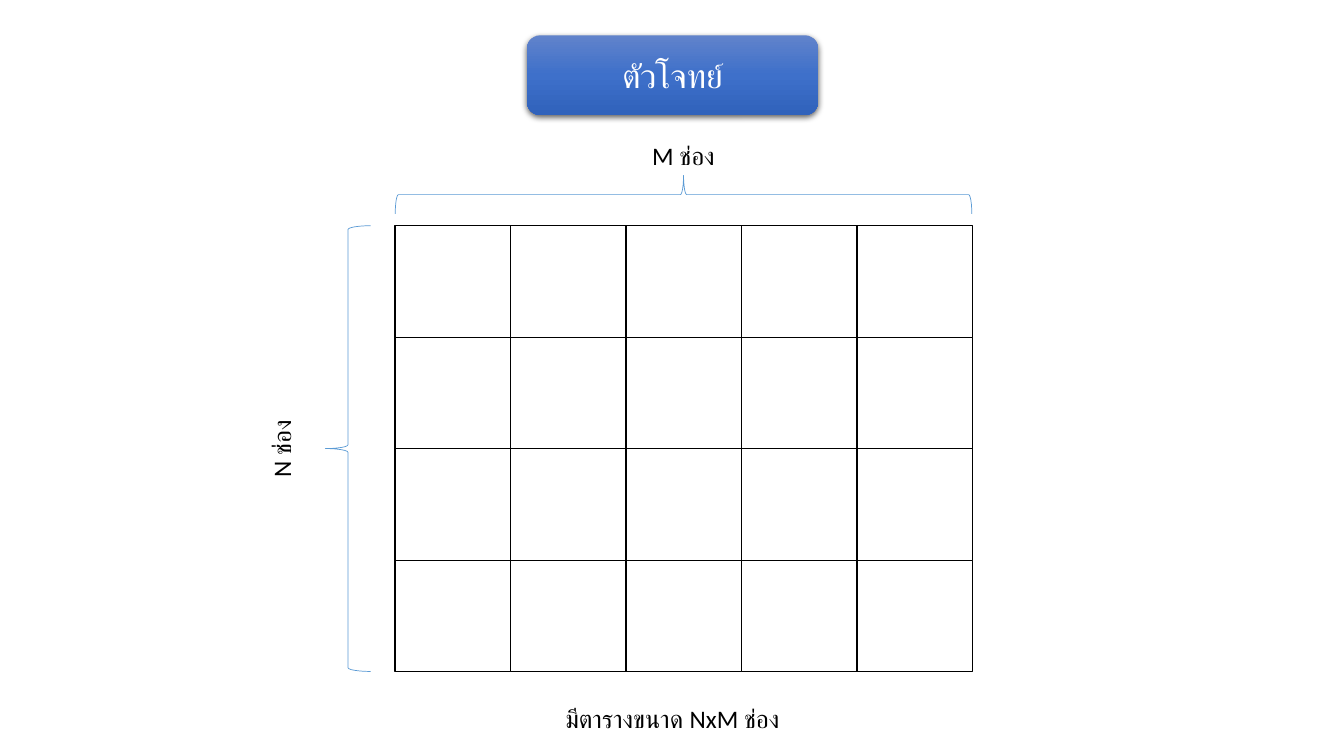
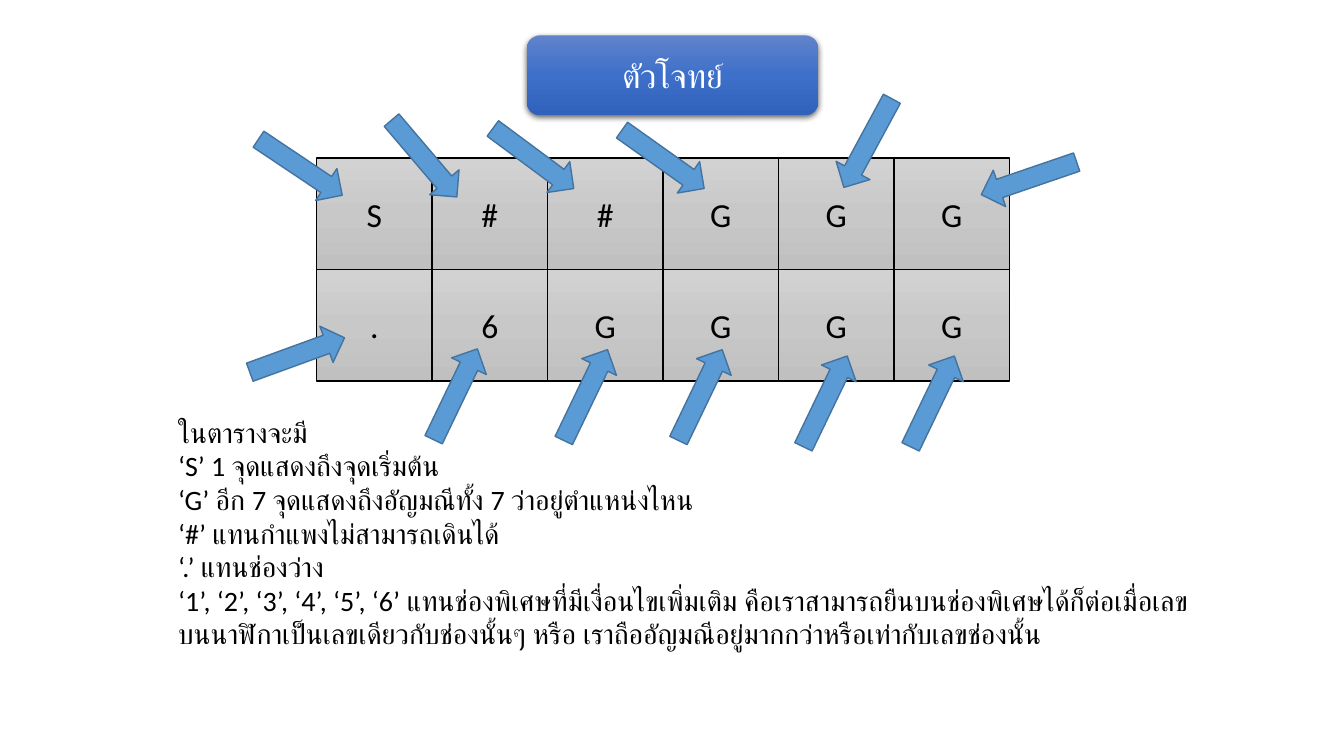
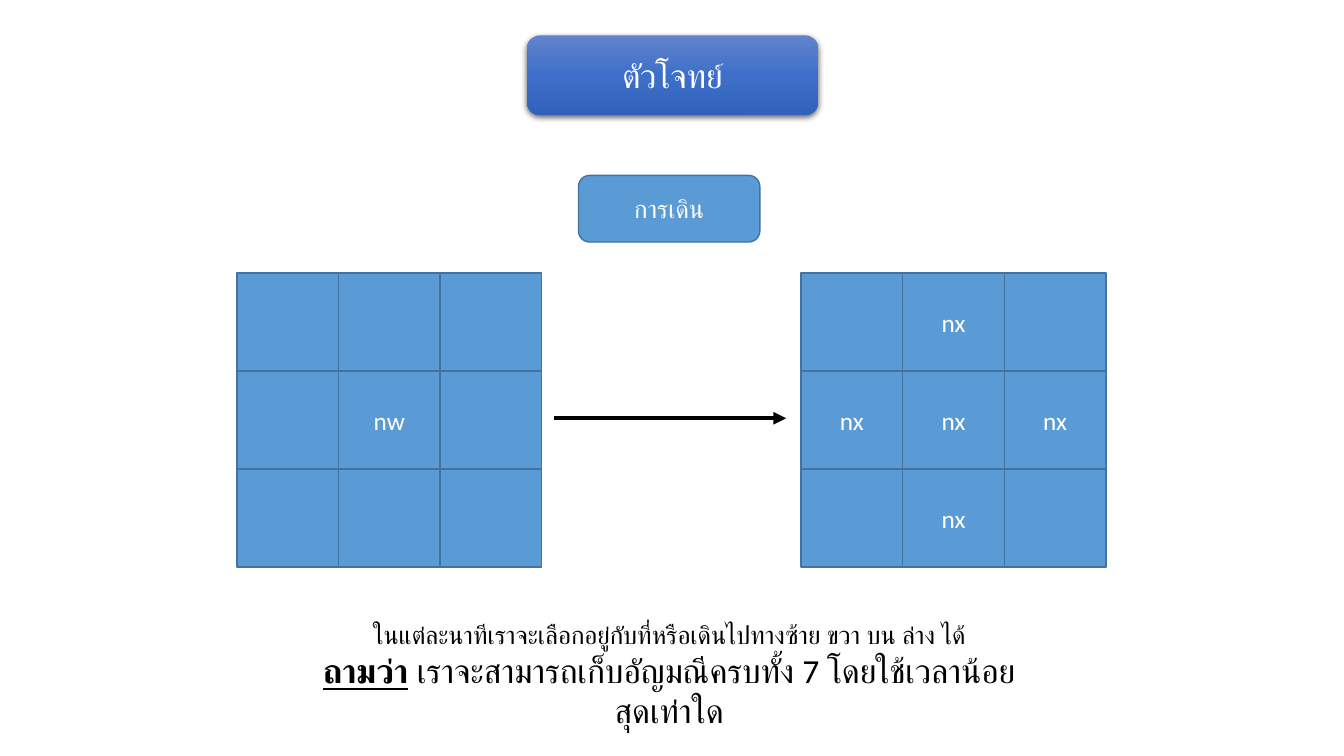
"""Build three slides that explain a grid-walking puzzle."""
import copy

import lxml.etree
import pptx
import pptx.dml.color
import pptx.enum.shapes
import pptx.enum.text
import pptx.oxml.ns
import pptx.util

Cm = pptx.util.Cm
Pt = pptx.util.Pt
RGBColor = pptx.dml.color.RGBColor
SHAPE = pptx.enum.shapes.MSO_SHAPE
ALIGN = pptx.enum.text.PP_ALIGN
ANCHOR = pptx.enum.text.MSO_ANCHOR
qn = pptx.oxml.ns.qn

BLACK = RGBColor(0x00, 0x00, 0x00)
WHITE = RGBColor(0xFF, 0xFF, 0xFF)
BLUE = RGBColor(0x5B, 0x9B, 0xD5)
DARK_BLUE = RGBColor(0x43, 0x73, 0x9E)
TITLE_GRADIENT = [RGBColor(0x61, 0x83, 0xCB), RGBColor(0x3E, 0x70, 0xCA), RGBColor(0x30, 0x62, 0xBB)]
GREY_GRADIENT = [RGBColor(0xD2, 0xD2, 0xD2), RGBColor(0xC8, 0xC8, 0xC8), RGBColor(0xC0, 0xC0, 0xC0)]

FONT = "Calibri"
SMALL = {"name": FONT, "size": Pt(18)}
MEDIUM = {"name": FONT, "size": Pt(20)}
LARGE = {"name": FONT, "size": Pt(24)}
STRONG = {**LARGE, "bold": True, "underline": True}

CELL_WIDTH, CELL_HEIGHT = 2.91, 2.81
STEP_WIDTH, STEP_HEIGHT = 2.56, 2.47


def write(box, paragraphs, colour=BLACK, align=ALIGN.CENTER):
    """Fill a box with paragraphs, each a list of (text, format) runs."""
    frame = box.text_frame
    frame.word_wrap = True
    for index, runs in enumerate(paragraphs):
        para = frame.paragraphs[0] if index == 0 else frame.add_paragraph()
        para.alignment = align
        for text, text_format in runs:
            span = para.add_run()
            span.text = text
            span.font.color.rgb = colour
            for name, value in text_format.items():
                setattr(span.font, name, value)


def draw(page, kind, place, fill=None, outline=None, width=1, rotation=0):
    """Add a preset shape; a list as fill makes a vertical gradient."""
    box = page.shapes.add_shape(kind, *map(Cm, place))
    box.shadow.inherit = False
    box.rotation = rotation
    box.text_frame.vertical_anchor = ANCHOR.MIDDLE
    if fill is None:
        box.fill.background()
    elif isinstance(fill, list):
        box.fill.gradient()
        box.fill.gradient_angle = 270
        stop_list = box.element.spPr.find(".//" + qn("a:gsLst"))
        stop_list.append(copy.deepcopy(stop_list[-1]))
        for index, stop in enumerate(box.fill.gradient_stops):
            stop.position = index / 2
            stop.color.rgb = fill[index]
    else:
        box.fill.solid()
        box.fill.fore_color.rgb = fill
    if outline is None:
        box.line.fill.background()
    else:
        box.line.color.rgb = outline
        box.line.width = Pt(width)
    return box


deck = pptx.Presentation()
deck.slide_width, deck.slide_height = Cm(33.87), Cm(19.05)
pages = [deck.slides.add_slide(deck.slide_layouts[6]) for _ in range(3)]
size_page, symbol_page, walk_page = pages

grids = [
    (size_page, 9.96, 5.69, CELL_WIDTH, CELL_HEIGHT, WHITE, BLACK, BLACK, LARGE,
     [[""] * 5] * 4),
    (symbol_page, 7.98, 3.98, CELL_WIDTH, CELL_HEIGHT, GREY_GRADIENT, BLACK, BLACK, LARGE,
     ["S##GGG", ".6GGGG"]),
    (walk_page, 5.97, 6.88, STEP_WIDTH, STEP_HEIGHT, BLUE, DARK_BLUE, WHITE, SMALL,
     [["", "", ""], ["", "nw", ""], ["", "", ""]]),
    (walk_page, 20.19, 6.88, STEP_WIDTH, STEP_HEIGHT, BLUE, DARK_BLUE, WHITE, SMALL,
     [["", "nx", ""], ["nx", "nx", "nx"], ["", "nx", ""]]),
]
for page, left, top, width, height, fill, outline, colour, text_format, rows in grids:
    for row, symbols in enumerate(rows):
        for column, symbol in enumerate(symbols):
            place = (left + column * width, top + row * height, width, height)
            cell = draw(page, SHAPE.RECTANGLE, place, fill, outline)
            if symbol:
                write(cell, [[(symbol, text_format)]], colour)

draw(size_page, SHAPE.LEFT_BRACE, (16.74, -2.36, 0.97, 14.53), None, BLUE, 0.5, 90)
draw(size_page, SHAPE.LEFT_BRACE, (8.2, 5.69, 1.14, 11.23), None, BLUE, 0.5)

walk_label = draw(walk_page, SHAPE.ROUNDED_RECTANGLE, (14.58, 4.42, 4.57, 1.68), BLUE, DARK_BLUE)
write(walk_label, [[("การเดิน", SMALL)]], WHITE)

step_arrow = walk_page.shapes.add_connector(
    pptx.enum.shapes.MSO_CONNECTOR.STRAIGHT, Cm(13.97), Cm(10.54), Cm(19.81), Cm(10.54))
step_arrow.line.color.rgb = BLACK
step_arrow.line.width = Pt(3)
arrow_properties = step_arrow.element.spPr
lxml.etree.SubElement(arrow_properties.find(qn("a:ln")), qn("a:tailEnd"), type="triangle")
lxml.etree.SubElement(arrow_properties, qn("a:effectLst"))

rules = [
    "ในตารางจะมี",
    "‘S’ 1 จุดแสดงถึงจุดเริ่มต้น",
    "‘G’ อีก 7 จุดแสดงถึงอัญมณีทั้ง 7 ว่าอยู่ตำแหน่งไหน",
    "‘#’ แทนกำแพงไม่สามารถเดินได้",
    "‘.’ แทนช่องว่าง",
    "‘1’, ‘2’, ‘3’, ‘4’, ‘5’, ‘6’ แทนช่องพิเศษที่มีเงื่อนไขเพิ่มเติม "
    "คือเราสามารถยืนบนช่องพิเศษได้ก็ต่อเมื่อเลขบนนาฬิกาเป็นเลขเดียวกับช่องนั้นๆ "
    "หรือ เราถืออัญมณีอยู่มากกว่าหรือเท่ากับเลขช่องนั้น",
]
question = [
    [("ในแต่ละนาทีเราจะเลือกอยู่กับที่หรือเดินไปทางซ้าย ขวา บน ล่าง ได้", SMALL)],
    [("ถามว่า", STRONG), (" เราจะสามารถเก็บอัญมณีครบทั้ง 7 โดยใช้เวลาน้อยสุดเท่าใด", LARGE)],
]
captions = [
    (size_page, (15.93, 3.4, 2.59, 1.02), 0, ALIGN.CENTER, [[("M ช่อง", SMALL)]]),
    (size_page, (6.07, 10.8, 2.03, 1.02), 270, ALIGN.CENTER, [[("N ช่อง", SMALL)]]),
    (size_page, (8.64, 17.6, 16.61, 1.02), 0, ALIGN.CENTER, [[("มีตารางขนาด NxM ช่อง", SMALL)]]),
    (symbol_page, (4.24, 10.34, 26.52, 6.25), 0, ALIGN.LEFT, [[(rule, MEDIUM)] for rule in rules]),
    (walk_page, (7.85, 15.49, 18.03, 2.06), 0, ALIGN.CENTER, question),
]
for page, place, rotation, align, paragraphs in captions:
    caption = page.shapes.add_textbox(*map(Cm, place))
    caption.rotation = rotation
    write(caption, paragraphs, BLACK, align)
    caption.text_frame.auto_size = pptx.enum.text.MSO_AUTO_SIZE.SHAPE_TO_FIT_TEXT

for page in pages:
    title = draw(page, SHAPE.ROUNDED_RECTANGLE, (13.28, 0.89, 7.34, 2.01), TITLE_GRADIENT)
    write(title, [[("ตัวโจทย์", LARGE)]], WHITE)
    effects = title.element.spPr.find(qn("a:effectLst"))
    shadow = lxml.etree.SubElement(
        effects, qn("a:outerShdw"), blurRad=str(Pt(4.5)), dist=str(Pt(1.5)),
        dir="5400000", algn="ctr", rotWithShape="0")
    shade = lxml.etree.SubElement(shadow, qn("a:srgbClr"), val=str(BLACK))
    lxml.etree.SubElement(shade, qn("a:alpha"), val="63000")

pointers = [
    (6.3, 3.73, 33.8), (9.42, 3.51, 49.6), (12.17, 3.51, 36.6),
    (15.44, 3.53, 35.4), (20.6, 3.12, 118.4), (24.66, 4.01, 161.1),
    (6.22, 8.46, 340), (10.21, 9.45, 295.7), (13.49, 9.47, 295.7),
    (16.38, 9.47, 295.7), (19.53, 9.63, 295.7), (22.23, 9.63, 295.7),
]
for left, top, angle in pointers:
    draw(symbol_page, SHAPE.RIGHT_ARROW, (left, top, 2.54, 0.97), BLUE, DARK_BLUE, rotation=angle)

deck.save("out.pptx")
